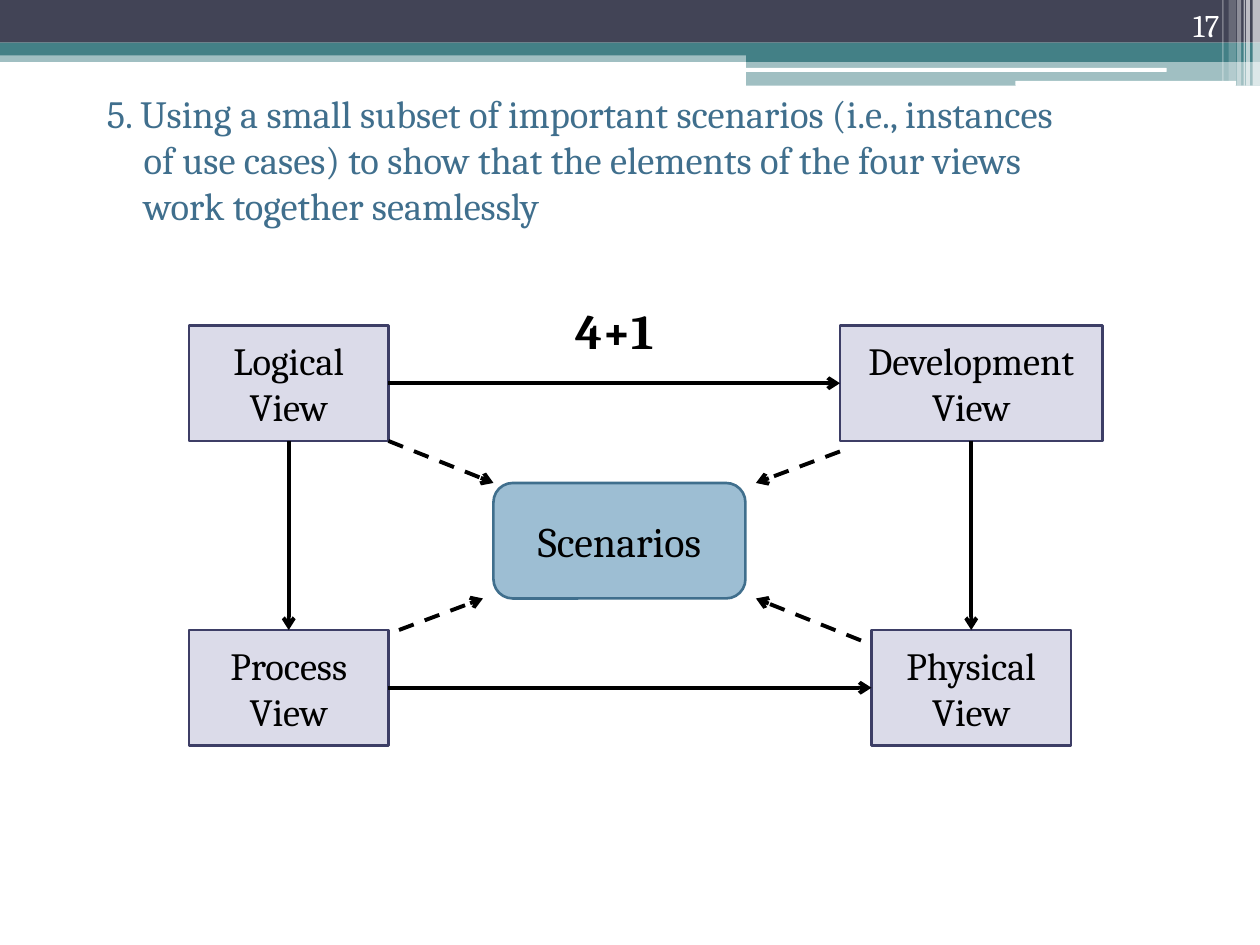
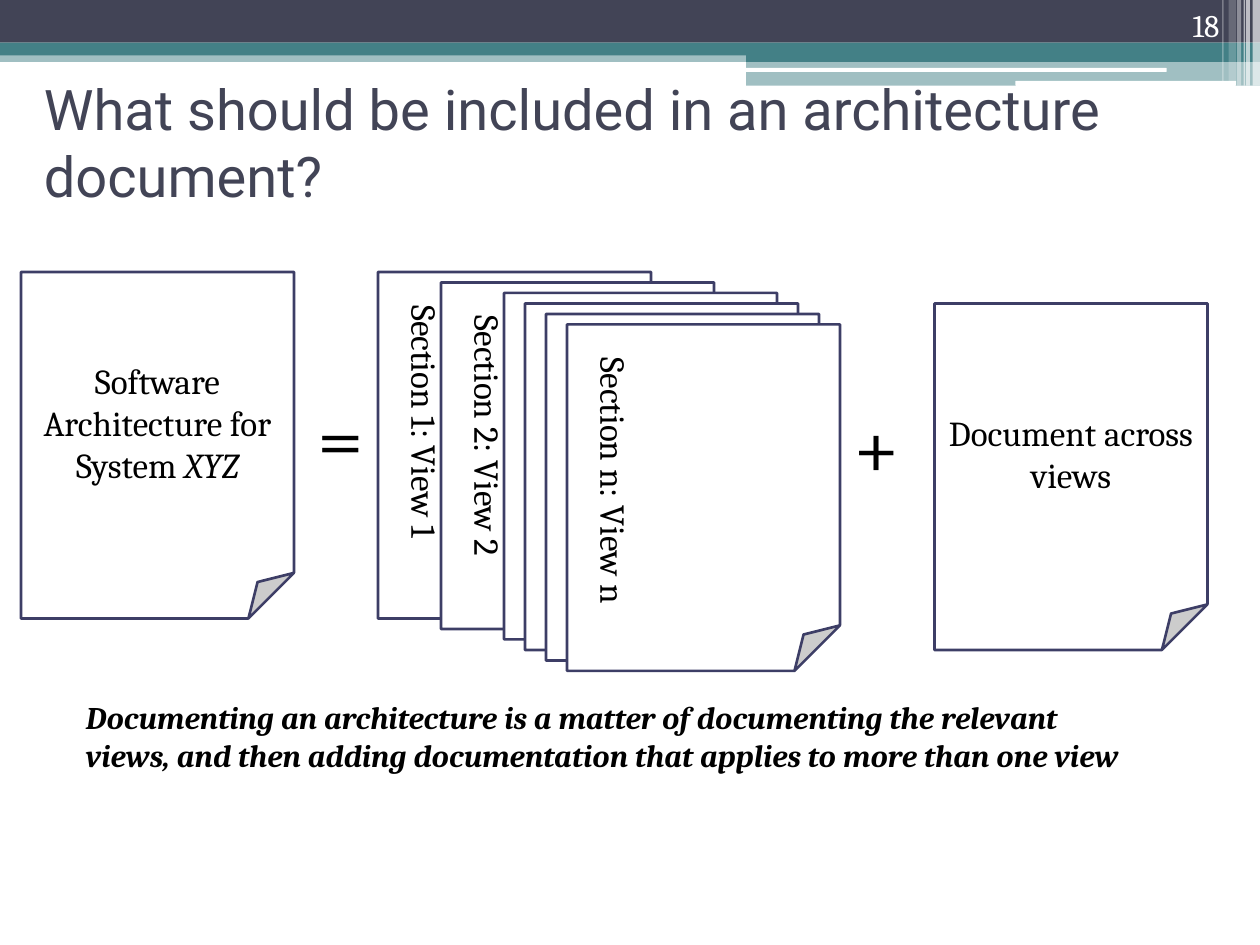
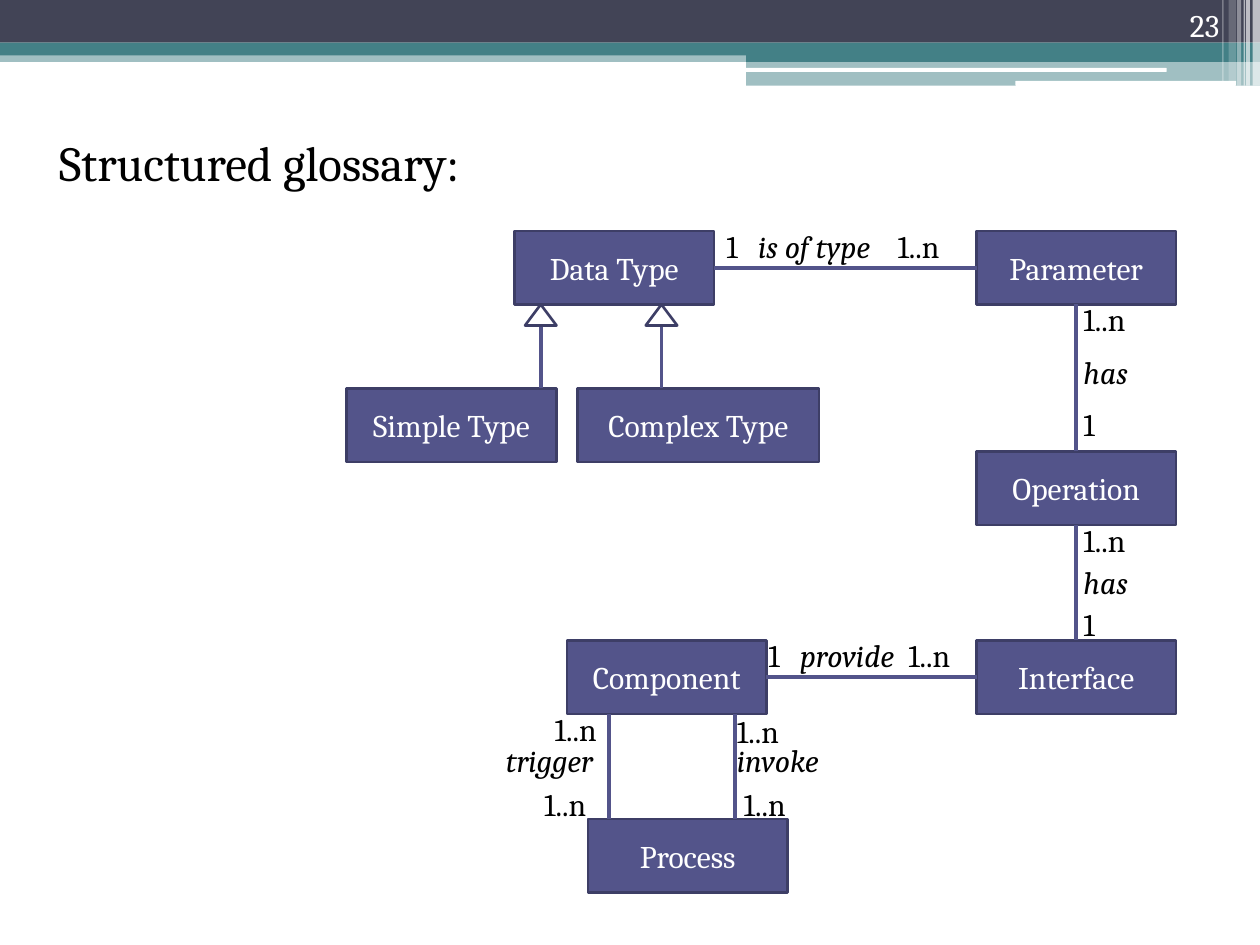
from dataclasses import dataclass
from lxml import etree
from pptx import Presentation
from pptx import util as u
from pptx.dml.color import RGBColor
from pptx.enum import dml, shapes, text
from pptx.oxml.ns import qn

WIDE, HIGH = 25.4, 19.05
STEP = WIDE / 120  # the diagrams sit on a grid of 120 by 90 steps


@dataclass(frozen=True)
class Theme:
    ink: str = "000000"
    white: str = "FFFFFF"
    slate: str = "424456"
    teal: str = "438086"
    edge: str = "3D3E66"
    pale: str = "DBDBE9"
    indigo: str = "53548A"
    sky: str = "9DBED3"
    blue: str = "406F8D"
    serif: str = "Cambria"
    sans: str = "Roboto"
    small: int = 18
    note: int = 20
    mid: int = 22
    large: int = 24
    head: int = 28
    title: int = 32
    sign: int = 48
    thin: float = 1.5
    thick: float = 2.25


T = Theme()
KIND = shapes.MSO_SHAPE
LEFT, RIGHT, MID = text.PP_ALIGN.LEFT, text.PP_ALIGN.RIGHT, text.PP_ALIGN.CENTER

# Top band in cm: left, top, width, height, colour, opacity in percent
BANDS = [
    (0, 1.02, WIDE, 0.23, T.teal, 50),
    (0, 0, WIDE, 0.86, T.slate, 100),
    (0, 0.86, WIDE, 0.26, T.teal, 100),
    (15.04, 0.99, 10.36, 0.26, T.teal, 100),
    (15.04, 1.23, 10.36, 0.5, T.teal, 50),
]
BARS = [(15.01, 1.37, 8.51, 0.08), (20.47, 1.63, 4.45, 0.1)]
# Stripes: left, width, height, opacity
STRIPES = [
    (25.25, 0.15, 1.73, 65), (25.12, 0.08, 1.73, 65), (25.07, 0.03, 1.73, 60),
    (24.94, 0.08, 1.73, 40), (24.77, 0.15, 1.63, 20), (24.64, 0.03, 1.63, 30),
]

# Everything below is in grid steps
POINT = ("5. Using a small subset of important scenarios (i.e., instances of use cases) "
         "to show that the elements of the four views work together seamlessly")
VIEWS = [
    ("Logical View", 18, 31, 19), ("Development View", 80, 31, 25),
    ("Process View", 18, 60, 19), ("Physical\nView", 83, 60, 19),
]
FLOWS = [(37, 36.5, 80, 36.5), (92.5, 42, 92.5, 60),
         (37, 65.5, 83, 65.5), (27.5, 42, 27.5, 60)]
LINKS = [(37, 42, 47, 46), (82, 61, 72, 57), (80, 43, 72, 46), (38, 60, 46, 57)]

ASK = "What should be included in an architecture document?"
SHEETS = [(36, "Section 1: View 1"), (42, "Section 2: View 2"), (48, ""),
          (50, ""), (52, ""), (54, "Section n: View n")]
TOP = 25.9
PAPERS = [
    (2, TOP, [("Software Architecture for System ", False), ("XYZ", True)], "="),
    (89, TOP + 3, "Document across views", "+"),
]
SIGNS = {"=": (26, 36), "+": (77, 36.9)}
CLAIM = ("Documenting an architecture is a matter of documenting the relevant views, "
         "and then adding documentation that applies to more than one view")

TERMS = [
    ("Data Type", 49, 22, 19), ("Simple Type", 33, 37, 20), ("Complex Type", 55, 37, 23),
    ("Parameter", 93, 22, 19), ("Operation", 93, 43, 19), ("Interface", 93, 61, 19),
    ("Component", 54, 61, 19), ("Process", 56, 78, 19),
]
PARENTS = [51.5, 63]
TIES = [(93, 25.5, 68, 25.5), (102.5, 43, 102.5, 29), (102.5, 61, 102.5, 50),
        (93, 64.5, 73, 64.5), (58, 78, 58, 68), (70, 78, 70, 68)]
# Labels: text, left, top, width, alignment
COUNTS = [
    ("1..n", 102, 28, 10, LEFT), ("1", 102, 38, 10, LEFT),
    ("1..n", 102, 49, 10, LEFT), ("1", 102, 57, 10, LEFT),
    ("1..n", 48, 67, 10, RIGHT), ("1..n", 47, 74.2, 10, RIGHT),
    ("1..n", 69, 67.2, 10, LEFT), ("1..n", 66, 74.2, 10, RIGHT),
]
VERBS = [("has", 102, 33, 10), ("has", 102, 53, 10),
         ("trigger", 47, 70, 15), ("invoke", 69, 70, 15)]
# Sentences along a line: verb, left, top, tab stops in cm
SPANS = [("is of type", 68, 21, (0.64, 3.45)), ("provide", 72, 60, (0.64, 2.82))]
ROW = 4.8


def grid(*steps):
    return [u.Cm(n * STEP) for n in steps]


def color(code):
    return RGBColor.from_string(code)


def shape(slide, kind, spot, fill, edge=None, alpha=100):
    """Add a flat shape at a spot given as four lengths."""
    item = slide.shapes.add_shape(kind, *spot)
    item.shadow.inherit = False
    item.fill.solid()
    item.fill.fore_color.rgb = color(fill)
    if alpha < 100:
        tint = item.fill._xPr.find(".//" + qn("a:srgbClr"))
        etree.SubElement(tint, qn("a:alpha"), val=str(alpha * 1000))
    if edge:
        item.line.color.rgb = color(edge)
        item.line.width = u.Pt(T.thin)
    else:
        item.line.fill.background()
    return item


def write(item, words, size, ink=T.ink, font=T.serif, align=MID, bold=False,
          slant=False, anchor=text.MSO_ANCHOR.MIDDLE, hang=None, tabs=()):
    """Fill a shape; words is a string or a list of (text, italic) runs."""
    frame = item.text_frame
    frame.word_wrap = True
    frame.vertical_anchor = anchor
    if isinstance(words, str):
        lines = [[(line, slant)] for line in words.split("\n")]
    else:
        lines = [words]
    for i, line in enumerate(lines):
        para = frame.add_paragraph() if i else frame.paragraphs[0]
        para.alignment = align
        props = para._p.get_or_add_pPr()
        if hang:
            props.set("marL", str(u.Cm(hang[0])))
            props.set("indent", str(u.Cm(hang[1])))
        if tabs:
            stops = etree.SubElement(props, qn("a:tabLst"))
            for stop in tabs:
                etree.SubElement(stops, qn("a:tab"), pos=str(u.Cm(stop)), algn="l")
        for part, tilt in line:
            run = para.add_run()
            run.text = part
            run.font.name, run.font.size = font, u.Pt(size)
            run.font.bold, run.font.italic = bold, tilt
            run.font.color.rgb = color(ink)


def label(slide, spot, words, size, anchor=text.MSO_ANCHOR.TOP, **style):
    box = slide.shapes.add_textbox(*grid(*spot))
    write(box, words, size, anchor=anchor, **style)
    return box


def line(slide, ends, ink, dash=False, arrow=False):
    item = slide.shapes.add_connector(shapes.MSO_CONNECTOR.STRAIGHT, *grid(*ends))
    item.line.color.rgb = color(ink)
    item.line.width = u.Pt(T.thick)
    if dash:
        item.line.dash_style = dml.MSO_LINE.DASH
    if arrow:
        etree.SubElement(item.line._get_or_add_ln(), qn("a:tailEnd"), type="arrow")
    etree.SubElement(item._element.spPr, qn("a:effectLst"))


def start(deck, number):
    """Add a slide with the shared band and its number."""
    slide = deck.slides.add_slide(deck.slide_layouts[6])
    for *spot, fill, alpha in BANDS:
        shape(slide, KIND.RECTANGLE, map(u.Cm, spot), fill, alpha=alpha)
    for spot in BARS:
        shape(slide, KIND.ROUNDED_RECTANGLE, map(u.Cm, spot), T.white)
    for left, wide, high, alpha in STRIPES:
        spot = map(u.Cm, (left, 0, wide, high))
        shape(slide, KIND.RECTANGLE, spot, T.white, alpha=alpha)
    label(slide, (107.3, 0, 10, ROW), number, T.small, ink=T.white, align=RIGHT,
          anchor=text.MSO_ANCHOR.BOTTOM)
    return slide


def views(deck):
    slide = start(deck, "17")
    for name, left, top, wide in VIEWS:
        box = shape(slide, KIND.RECTANGLE, grid(left, top, wide, 11), T.pale, T.edge)
        write(box, name, T.mid)
    for ends in FLOWS:
        line(slide, ends, T.ink, arrow=True)
    core = shape(slide, KIND.ROUNDED_RECTANGLE, grid(47, 46, 24, 11), T.sky, T.blue)
    write(core, "Scenarios", T.large)
    for ends in LINKS:
        line(slide, ends, T.ink, dash=True, arrow=True)
    label(slide, (43, 28, 31, 6.8), "4+1", T.head, bold=True)
    label(slide, (9, 8, 94, 18), POINT, T.mid, ink=T.blue, align=LEFT,
          hang=(0.74, -0.74))


def paper(slide, left, top):
    return shape(slide, KIND.FOLDED_CORNER, grid(left, top, 26, 33), T.white, T.edge)


def parts(deck):
    slide = start(deck, "18")
    for i, (left, name) in enumerate(SHEETS):
        paper(slide, left, TOP + i)
        if name:
            box = label(slide, (left + 0.6, TOP + i + 2, 6.5, 28), name, T.note,
                        align=LEFT)
            box.text_frame._txBody.bodyPr.set("vert", "eaVert")
    for left, top, words, sign in PAPERS:
        write(paper(slide, left, top), words, T.note)
        label(slide, (*SIGNS[sign], 13, 11), sign, T.sign)
    label(slide, (7, 65.9, 101, 12), CLAIM, T.small, align=LEFT, bold=True, slant=True)
    label(slide, (3, 8, 112, 11), ASK, T.title, ink=T.slate, font=T.sans, align=LEFT,
          anchor=text.MSO_ANCHOR.MIDDLE)


def terms(deck):
    slide = start(deck, "23")
    label(slide, (3, 12, 48, 10), "Structured glossary:", T.head, align=LEFT,
          hang=(1.02, -0.71))
    for name, left, top, wide in TERMS:
        box = shape(slide, KIND.RECTANGLE, grid(left, top, wide, 7), T.indigo, T.edge)
        write(box, name, T.small, ink=T.white)
    for mid in PARENTS:
        line(slide, (mid, 37, mid, 31), T.indigo)
        shape(slide, KIND.ISOSCELES_TRIANGLE, grid(mid - 1.5, 29, 3, 2), T.white, T.edge)
    for ends in TIES:
        line(slide, ends, T.indigo)
    for name, left, top, wide, align in COUNTS:
        label(slide, (left, top, wide, ROW), name, T.small, align=align)
    for verb, left, top, wide in VERBS:
        label(slide, (left, top, wide, ROW), verb, T.small, align=LEFT, slant=True)
    for verb, left, top, tabs in SPANS:
        runs = [("1\t", False), (verb + "\t", True), ("1..n", False)]
        label(slide, (left, top, 27, ROW), runs, T.small, align=LEFT, tabs=tabs)


def main():
    deck = Presentation()
    deck.slide_width, deck.slide_height = u.Cm(WIDE), u.Cm(HIGH)
    for build in (views, parts, terms):
        build(deck)
    deck.save("out.pptx")


if __name__ == "__main__":
    main()
